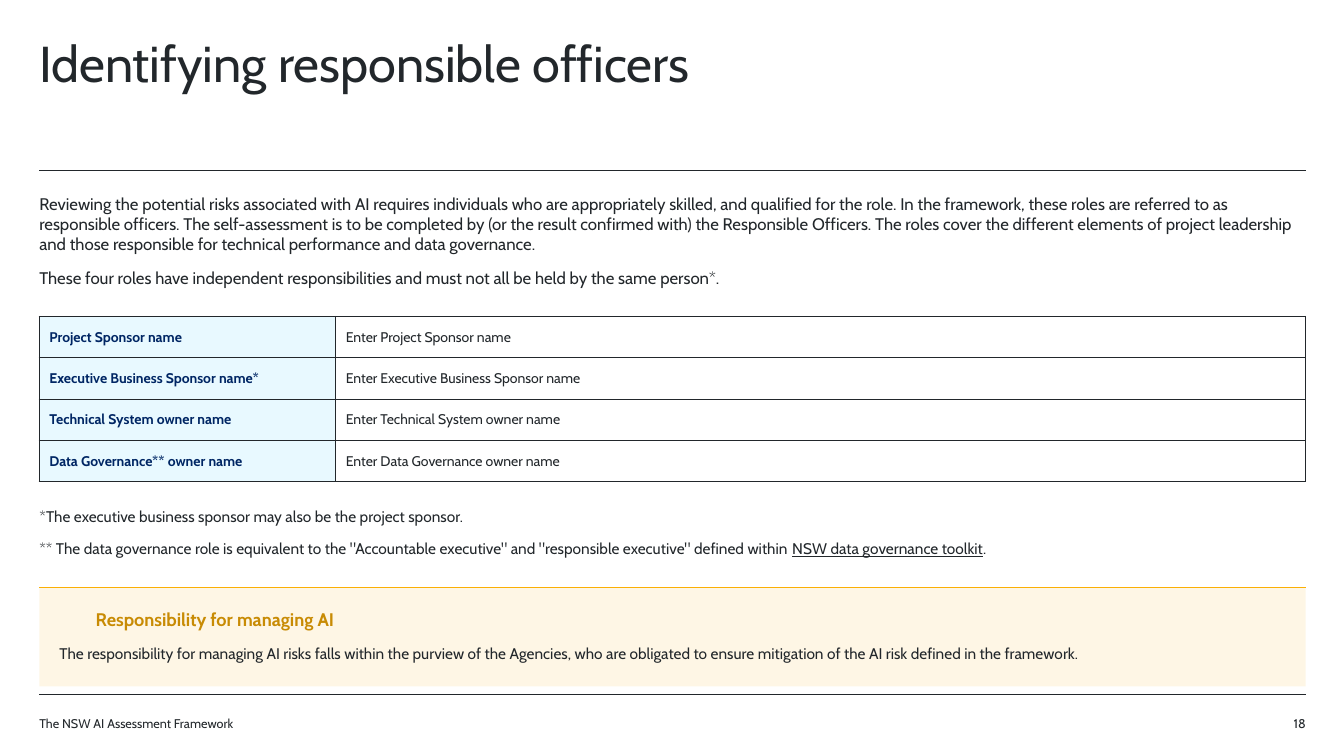
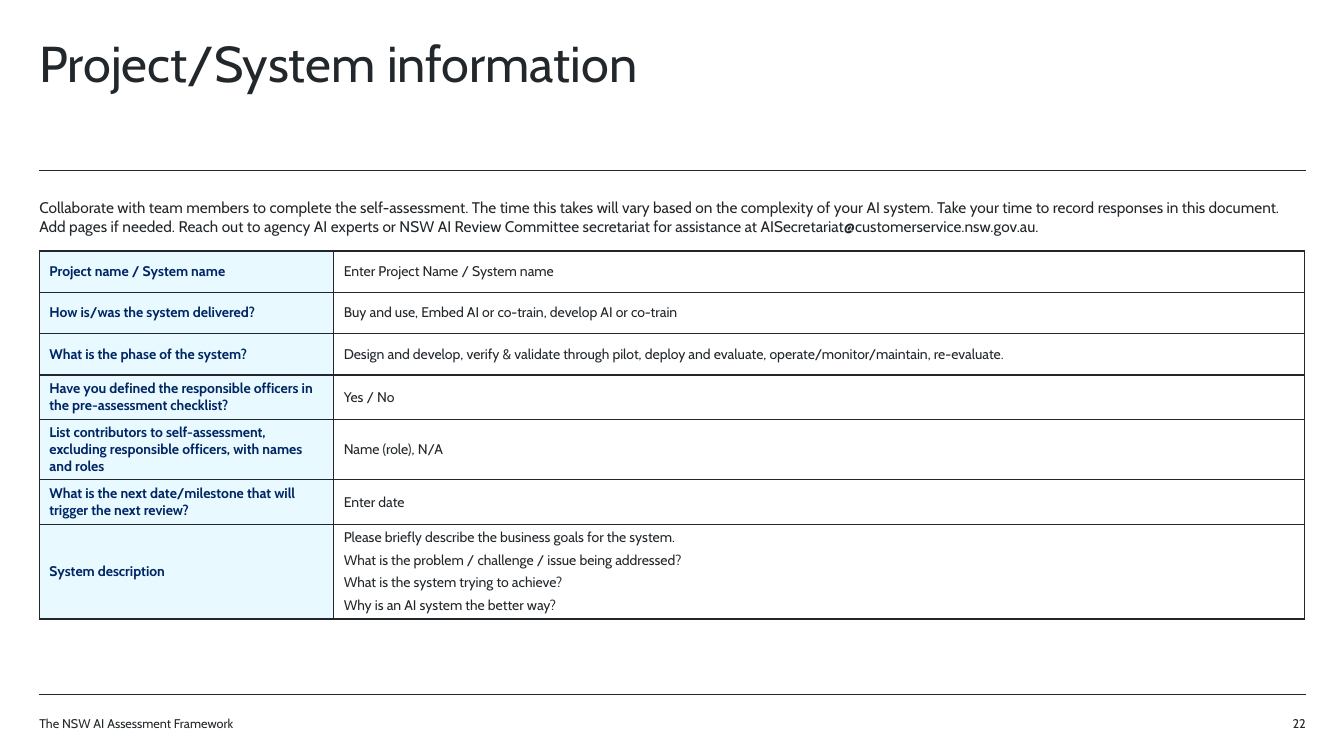
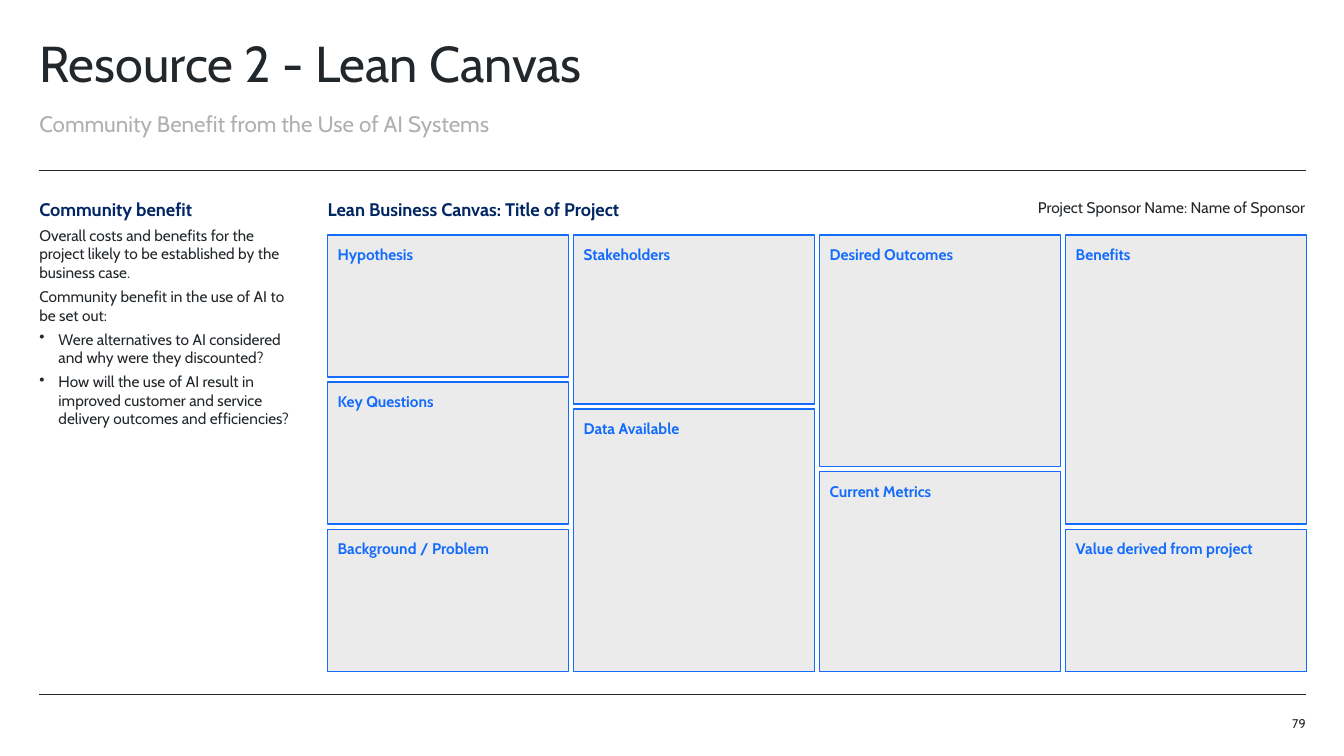
from dataclasses import dataclass

from lxml.etree import SubElement
from pptx import Presentation
from pptx.dml.color import RGBColor
from pptx.enum.shapes import MSO_CONNECTOR, MSO_SHAPE
from pptx.enum.text import MSO_ANCHOR, PP_ALIGN
from pptx.oxml import parse_xml
from pptx.oxml.ns import nsdecls, qn
from pptx.util import Pt

PX = 9144  # EMU per px, 100 px to the inch
FONT = "Cabin"
INK, NAVY, BLUE = "22272B", "002664", "146CFD"
AMBER, DARK_AMBER = "FAAF05", "C88B04"
SILVER, PALE_GREY, PALE_BLUE = "B0B0B0", "EBEBEB", "E8F9FF"
LEFT, RIGHT = 39, 1295
WIDTH = RIGHT - LEFT
FOOTER = "The NSW AI Assessment Framework"


@dataclass(frozen=True)
class Style:
    size: int
    colour: str = INK
    bold: bool = False
    after: int = 0
    spacing: float = 1.0
    align: PP_ALIGN = PP_ALIGN.LEFT


@dataclass(frozen=True)
class Para:
    text: str
    style: Style
    underlined: str = ""
    bullet: bool = False
    indent: int = 0


@dataclass(frozen=True)
class Box:
    x: int
    y: int
    w: int
    h: int

    def emu(self) -> tuple[int, ...]:
        return tuple(v * PX for v in (self.x, self.y, self.w, self.h))


@dataclass(frozen=True)
class FormRow:
    label: str
    answers: tuple[str, ...]
    height: int = 41


TITLE = Style(36, spacing=0.9)
SUBTITLE = Style(16, SILVER, spacing=0.9)
LEAD = Style(12, after=10)
BODY = Style(11, after=10)
COMPACT = Style(11, after=4)
SPONSOR = Style(11, after=4, align=PP_ALIGN.RIGHT)
HEADING = Style(13, NAVY, True, after=4)
CALLOUT = Style(13, DARK_AMBER, True, after=10)
LABEL = Style(10, NAVY, True, after=4)
ANSWER = Style(10, after=4)
CANVAS = Style(11, BLUE, True)
SMALL = Style(9)
PAGE = Style(9, align=PP_ALIGN.RIGHT)


def rgb(colour: str) -> RGBColor:
    return RGBColor.from_string(colour)


def write(tf, paras: list[Para]) -> None:
    tf.word_wrap = True
    for i, para in enumerate(paras):
        p = tf.paragraphs[0] if i == 0 else tf.add_paragraph()
        style = para.style
        p.alignment = style.align
        p.space_after = Pt(style.after)
        p.line_spacing = style.spacing
        if para.underlined:
            for part in para.text.partition(para.underlined):
                p.add_run().text = part
        else:
            p.text = para.text
        for r in p.runs:
            r.font.name = FONT
            r.font.size = Pt(style.size)
            r.font.bold = style.bold
            r.font.color.rgb = rgb(style.colour)
            if r.text == para.underlined:
                r.font.underline = True
        pPr = p._p.get_or_add_pPr()
        if para.indent:
            pPr.set("marL", str(para.indent * PX))
        if para.bullet:
            pPr.set("indent", str(-para.indent * PX))
            SubElement(pPr, qn("a:buChar")).set("char", "•")


def set_margins(tf, margin: int) -> None:
    tf.margin_left = tf.margin_right = margin * PX
    tf.margin_top = tf.margin_bottom = margin * PX


def add_text(s, box: Box, *paras: Para) -> None:
    tf = s.shapes.add_textbox(*box.emu()).text_frame
    set_margins(tf, 0)
    write(tf, list(paras))


def add_rule(s, y: int, colour: str = INK, width: float = 0.5) -> None:
    line = s.shapes.add_connector(MSO_CONNECTOR.STRAIGHT, LEFT * PX, y * PX, RIGHT * PX, y * PX)
    line.line.color.rgb = rgb(colour)
    line.line.width = Pt(width)
    SubElement(line._element.spPr, qn("a:effectLst"))


def add_panel(s, box: Box, fill: str, margin: int, paras: list[Para],
              line: str = "", opacity: int = 100) -> None:
    """Add a filled rectangle with text at its top left."""
    sp = s.shapes.add_shape(MSO_SHAPE.RECTANGLE, *box.emu())
    sp.shadow.inherit = False
    sp.fill.solid()
    sp.fill.fore_color.rgb = rgb(fill)
    if opacity < 100:
        clr = sp._element.spPr.find(f"{qn('a:solidFill')}/{qn('a:srgbClr')}")
        SubElement(clr, qn("a:alpha")).set("val", str(opacity * 1000))
    if line:
        sp.line.color.rgb = rgb(line)
        sp.line.width = Pt(1)
    else:
        sp.line.fill.background()
    tf = sp.text_frame
    set_margins(tf, margin)
    tf.vertical_anchor = MSO_ANCHOR.TOP
    write(tf, paras)


def add_borders(cell) -> None:
    tcPr = cell._tc.get_or_add_tcPr()
    for i, side in enumerate("LRTB"):
        tcPr.insert(i, parse_xml(
            f'<a:ln{side} {nsdecls("a")} w="{Pt(1)}"><a:solidFill>'
            f'<a:srgbClr val="{INK}"/></a:solidFill></a:ln{side}>'))


def add_form(s, y: int, widths: tuple[int, int], rows: list[FormRow]) -> None:
    """Add a bordered table of labels and answers."""
    box = Box(LEFT, y, sum(widths), sum(row.height for row in rows))
    table = s.shapes.add_table(len(rows), 2, *box.emu()).table
    table.first_row = table.horz_banding = False
    for column, width in zip(table.columns, widths):
        column.width = width * PX
    for i, row in enumerate(rows):
        table.rows[i].height = row.height * PX
        label, answer = table.cell(i, 0), table.cell(i, 1)
        label.fill.solid()
        label.fill.fore_color.rgb = rgb(PALE_BLUE)
        answer.fill.background()
        write(label.text_frame, [Para(row.label, LABEL)])
        write(answer.text_frame, [Para(text, ANSWER) for text in row.answers])
        for cell in (label, answer):
            cell.vertical_anchor = MSO_ANCHOR.MIDDLE
            add_borders(cell)


def new_slide(prs, title: str, page: int, footer: str = FOOTER):
    """Add a slide with the shared rules, title, page number and footer."""
    s = prs.slides.add_slide(prs.slide_layouts[6])
    for y in (169, 689):
        add_rule(s, y)
    add_text(s, Box(LEFT, 39, 1102, 110), Para(title, TITLE))
    add_text(s, Box(RIGHT - 79, 710, 79, 20), Para(str(page), PAGE))
    if footer:
        add_text(s, Box(LEFT, 710, 588, 20), Para(footer, SMALL))
    return s


def officers_slide(prs) -> None:
    s = new_slide(prs, "Identifying responsible officers", 18)
    add_text(
        s, Box(LEFT, 192, WIDTH, 110),
        Para("Reviewing the potential risks associated with AI requires individuals who are "
             "appropriately skilled, and qualified for the role. In the framework, these roles "
             "are referred to as responsible officers. The self-assessment is to be completed by "
             "(or the result confirmed with) the Responsible Officers. The roles cover the "
             "different elements of project leadership and those responsible for technical "
             "performance and data governance.", LEAD),
        Para("These four roles have independent responsibilities and must not all be held by "
             "the same person*.", LEAD))
    add_rule(s, 583, AMBER, 1)
    add_panel(s, Box(LEFT, 583, WIDTH, 98), AMBER, 20, [
        Para("Responsibility for managing AI", CALLOUT, indent=36),
        Para("The responsibility for managing AI risks falls within the purview of the Agencies, "
             "who are obligated to ensure mitigation of the AI risk defined in the framework.",
             BODY),
    ], opacity=10)
    add_form(s, 314, (294, 962), [
        FormRow("Project Sponsor name", ("Enter Project Sponsor name",)),
        FormRow("Executive Business Sponsor name*", ("Enter Executive Business Sponsor name",)),
        FormRow("Technical System owner name", ("Enter Technical System owner name",)),
        FormRow("Data Governance** owner name", ("Enter Data Governance owner name",)),
    ])
    add_text(
        s, Box(LEFT, 503, 1271, 25),
        Para("*The executive business sponsor may also be the project sponsor.", BODY),
        Para('** The data governance role is equivalent to the "Accountable executive" and '
             '"responsible executive" defined within NSW data governance toolkit.', BODY,
             underlined="NSW data governance toolkit"))


def information_slide(prs) -> None:
    s = new_slide(prs, "Project/System information", 22)
    add_text(
        s, Box(LEFT, 197, WIDTH, 54),
        Para("Collaborate with team members to complete the self-assessment. The time this takes "
             "will vary based on the complexity of your AI system. Take your time to record "
             "responses in this document. Add pages if needed. Reach out to agency AI experts or "
             "NSW AI Review Committee secretariat for assistance at "
             "AISecretariat@customerservice.nsw.gov.au.", BODY))
    add_form(s, 249, (292, 963), [
        FormRow("Project name / System name", ("Enter Project Name / System name",)),
        FormRow("How is/was the system delivered?",
                ("Buy and use, Embed AI or co-train, develop AI or co-train",)),
        FormRow("What is the phase of the system?",
                ("Design and develop, verify & validate through pilot, deploy and evaluate, "
                 "operate/monitor/maintain, re-evaluate.",)),
        FormRow("Have you defined the responsible officers in the pre-assessment checklist?",
                ("Yes / No",), 44),
        FormRow("List contributors to self-assessment, excluding responsible officers, "
                "with names and roles", ("Name (role), N/A",), 60),
        FormRow("What is the next date/milestone that will trigger the next review?",
                ("Enter date",), 44),
        FormRow("System description", (
            "Please briefly describe the business goals for the system.",
            "What is the problem / challenge / issue being addressed?",
            "What is the system trying to achieve?",
            "Why is an AI system the better way?"), 94),
    ])


def canvas_slide(prs) -> None:
    s = new_slide(prs, "Resource 2 - Lean Canvas", 79, footer="")
    add_text(s, Box(LEFT, 112, 865, 41),
             Para("Community Benefit from the Use of AI Systems", SUBTITLE))
    add_text(
        s, Box(LEFT, 197, 257, 472),
        Para("Community benefit", HEADING),
        Para("Overall costs and benefits for the project likely to be established by the "
             "business case.", COMPACT),
        Para("Community benefit in the use of AI to be set out:", COMPACT),
        Para("Were alternatives to AI considered and why were they discounted?", COMPACT,
             bullet=True, indent=19),
        Para("How will the use of AI result in improved customer and service delivery outcomes "
             "and efficiencies?", COMPACT, bullet=True, indent=19))

    canvas_left, canvas_top, column_width, gap = 325, 233, 239, 5
    columns = [
        [("Hypothesis", 141), ("Key Questions", 141), ("Background / Problem", 141)],
        [("Stakeholders", 168), ("Data Available", 260)],
        [("Desired Outcomes", 230), ("Current Metrics", 198)],
        [("Benefits", 287), ("Value derived from project", 141)],
    ]
    for i, column in enumerate(columns):
        x, y = canvas_left + i * (column_width + gap), canvas_top
        for name, height in column:
            add_panel(s, Box(x, y, column_width, height), PALE_GREY, 10,
                      [Para(name, CANVAS)], line=BLUE)
            y += height + gap
    add_text(s, Box(canvas_left, 197, 504, 36),
             Para("Lean Business Canvas: Title of Project", HEADING))
    add_text(s, Box(RIGHT - 436, 197, 436, 36),
             Para("Project Sponsor Name: Name of Sponsor", SPONSOR))


def main() -> None:
    prs = Presentation()
    prs.slide_width, prs.slide_height = 1333 * PX, 750 * PX
    officers_slide(prs)
    information_slide(prs)
    canvas_slide(prs)
    prs.save("out.pptx")


if __name__ == "__main__":
    main()
